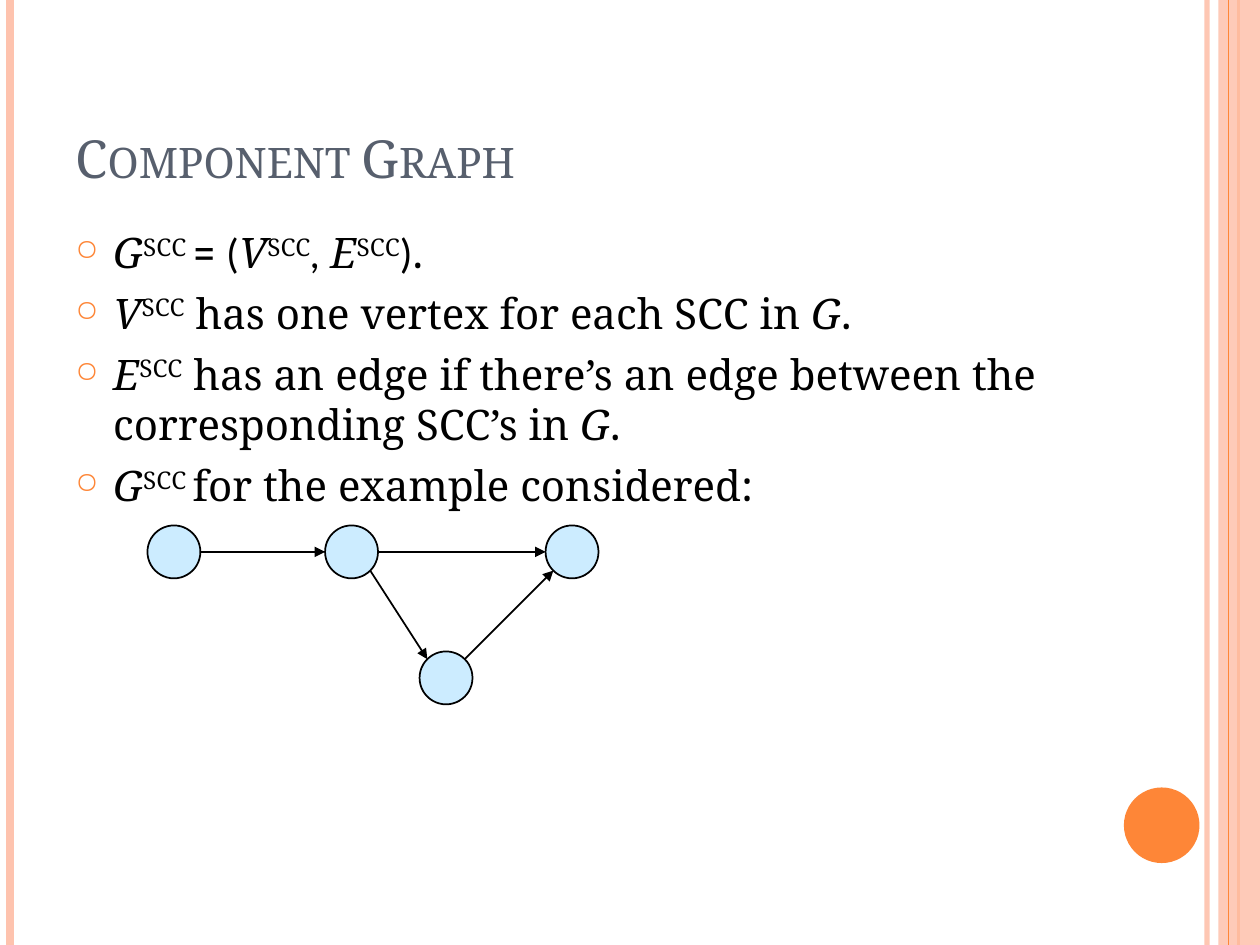
import math

import pptx
import pptx.dml.color
import pptx.enum.shapes
import pptx.enum.text
import pptx.oxml
import pptx.oxml.ns
import pptx.util
from pptx.util import Inches

COLORS = {"peach": "FEC3AE", "orange": "FE8637", "title": "575F6D",
          "text": "000000", "node": "CCECFF"}
SERIF = "Noto Serif"

TITLE = [("Component Graph", {"size": 30, "color": "title", "small_caps": True})]

ITALIC = {"italic": True}
RAISED = {"raised": 30}
BULLETS = [
    [("G", ITALIC), ("SCC ", RAISED), ("= ", {"font": "Roboto"}),
     ("(", {"font": "Calibri"}), ("V", ITALIC), ("SCC", RAISED),
     (", ", {"font": "Calibri", "italic": True}), ("E", ITALIC),
     ("SCC", RAISED), (")", {"font": "Calibri"}), (".", {})],
    [("V", ITALIC), ("SCC", RAISED), (" has one vertex for each SCC in ", {}),
     ("G", ITALIC), (".", {})],
    [("E", ITALIC), ("SCC", RAISED),
     (" has an edge if there’s an edge between the corresponding SCC’s in ", {}),
     ("G", ITALIC), (".", {})],
    [("G", ITALIC), ("SCC ", RAISED), ("for the example considered:", {})],
]

# x, colour, width in points, opacity in percent
BACK_STRIPES = [(9.58, "peach", 3, 93), (0.08, "peach", 4.5, 100),
                (9.83, "orange", 1.5, 100)]
FRONT_STRIPE = (9.75, "orange", 0.75, 100)

NODE_SIZE = 0.42
NODES = {"first": (1.17, 4.17), "second": (2.58, 4.17),
         "third": (4.33, 4.17), "lower": (3.33, 5.17)}
# start node, angle of departure, end node, angle of arrival (degrees, y down)
EDGES = [("first", 0, "second", 180), ("second", 0, "third", 180),
         ("second", 45, "lower", 225), ("lower", 315, "third", 135)]


def rgb(name):
    """Return the named colour."""
    return pptx.dml.color.RGBColor.from_string(COLORS[name])


def add_xml(parent, tag, **attributes):
    """Append a DrawingML element with the given attributes."""
    child = pptx.oxml.parse_xml(f"<a:{tag} {pptx.oxml.ns.nsdecls('a')}/>")
    for key, value in attributes.items():
        child.set(key, str(value))
    parent.append(child)
    return child


def set_opacity(fill_owner, percent):
    """Make the solid fill below an element partly transparent."""
    if percent < 100:
        color = fill_owner.find(".//" + pptx.oxml.ns.qn("a:srgbClr"))
        add_xml(color, "alpha", val=percent * 1000)


def add_text(para, text, size=24, font=SERIF, color="text", italic=False,
             raised=0, small_caps=False):
    """Add one formatted run to a paragraph."""
    span = para.add_run()
    span.text = text
    span.font.size = pptx.util.Pt(size)
    span.font.name = font
    span.font.italic = italic
    span.font.color.rgb = rgb(color)
    properties = span.font._element
    if raised:
        properties.set("baseline", str(raised * 1000))
    if small_caps:
        properties.set("cap", "small")


def add_box(page, left, top, width, height, anchor):
    """Add a wrapping text box and return its text frame."""
    box = page.shapes.add_textbox(*map(Inches, (left, top, width, height)))
    box.text_frame.word_wrap = True
    box.text_frame.vertical_anchor = anchor
    return box.text_frame


def set_bullet(para):
    """Give a paragraph a hanging orange ring."""
    para.space_before = pptx.util.Pt(6)
    properties = para._p.get_or_add_pPr()
    properties.set("marL", str(Inches(0.3)))
    properties.set("indent", str(-Inches(0.3)))
    add_xml(add_xml(properties, "buClr"), "srgbClr", val=COLORS["orange"])
    add_xml(properties, "buSzPct", val=70000)
    add_xml(properties, "buChar", char="○")


def add_shape(page, kind, left, top, width, height, fill, line=None, opacity=100):
    """Add a filled preset shape, outlined if a line colour is given."""
    shape = page.shapes.add_shape(kind, *map(Inches, (left, top, width, height)))
    shape.shadow.inherit = False
    shape.fill.solid()
    shape.fill.fore_color.rgb = rgb(fill)
    set_opacity(shape._element.spPr, opacity)
    if line:
        shape.line.color.rgb = rgb(line)
        shape.line.width = pptx.util.Pt(1)
    else:
        shape.line.fill.background()


def add_line(page, start, end, color, width, opacity=100, arrow=False):
    """Add a straight line, with an arrowhead at its end if asked."""
    line = page.shapes.add_connector(pptx.enum.shapes.MSO_CONNECTOR.STRAIGHT,
                                     *map(Inches, (*start, *end)))
    line.line.color.rgb = rgb(color)
    line.line.width = pptx.util.Pt(width)
    properties = line._element.spPr
    set_opacity(properties, opacity)
    if arrow:
        add_xml(line.line._get_or_add_ln(), "tailEnd", type="triangle")
    add_xml(properties, "effectLst")


def add_stripe(page, x, color, width, opacity):
    """Add a vertical line over the full page height."""
    add_line(page, (x, 0), (x, 7.5), color, width, opacity)


def rim(node, degrees):
    """Return the point on a node's circle at an angle."""
    left, top = NODES[node]
    radius, angle = NODE_SIZE / 2, math.radians(degrees)
    return (left + radius * (1 + math.cos(angle)),
            top + radius * (1 + math.sin(angle)))


def build():
    """Build and save the deck."""
    deck = pptx.Presentation()
    deck.slide_width, deck.slide_height = Inches(10), Inches(7.5)
    page = deck.slides.add_slide(deck.slide_layouts[6])
    shapes = pptx.enum.shapes.MSO_SHAPE
    anchors = pptx.enum.text.MSO_ANCHOR

    for stripe in BACK_STRIPES:
        add_stripe(page, *stripe)
    add_shape(page, shapes.RECTANGLE, 9.67, 0, 0.33, 7.5, "peach", opacity=87)
    add_stripe(page, *FRONT_STRIPE)
    add_shape(page, shapes.OVAL, 8.92, 6.25, 0.6, 0.6, "orange")

    title = add_box(page, 0.5, 0.3, 8.42, 1.25, anchors.BOTTOM)
    for text, style in TITLE:
        add_text(title.paragraphs[0], text, **style)

    body = add_box(page, 0.5, 1.75, 8.42, 5.33, anchors.TOP)
    for index, spans in enumerate(BULLETS):
        para = body.add_paragraph() if index else body.paragraphs[0]
        set_bullet(para)
        for text, style in spans:
            add_text(para, text, **style)

    for left, top in NODES.values():
        add_shape(page, shapes.OVAL, left, top, NODE_SIZE, NODE_SIZE, "node", "text")
    for start, leaving, end, arriving in EDGES:
        add_line(page, rim(start, leaving), rim(end, arriving), "text", 1, arrow=True)

    deck.save("out.pptx")


build()
